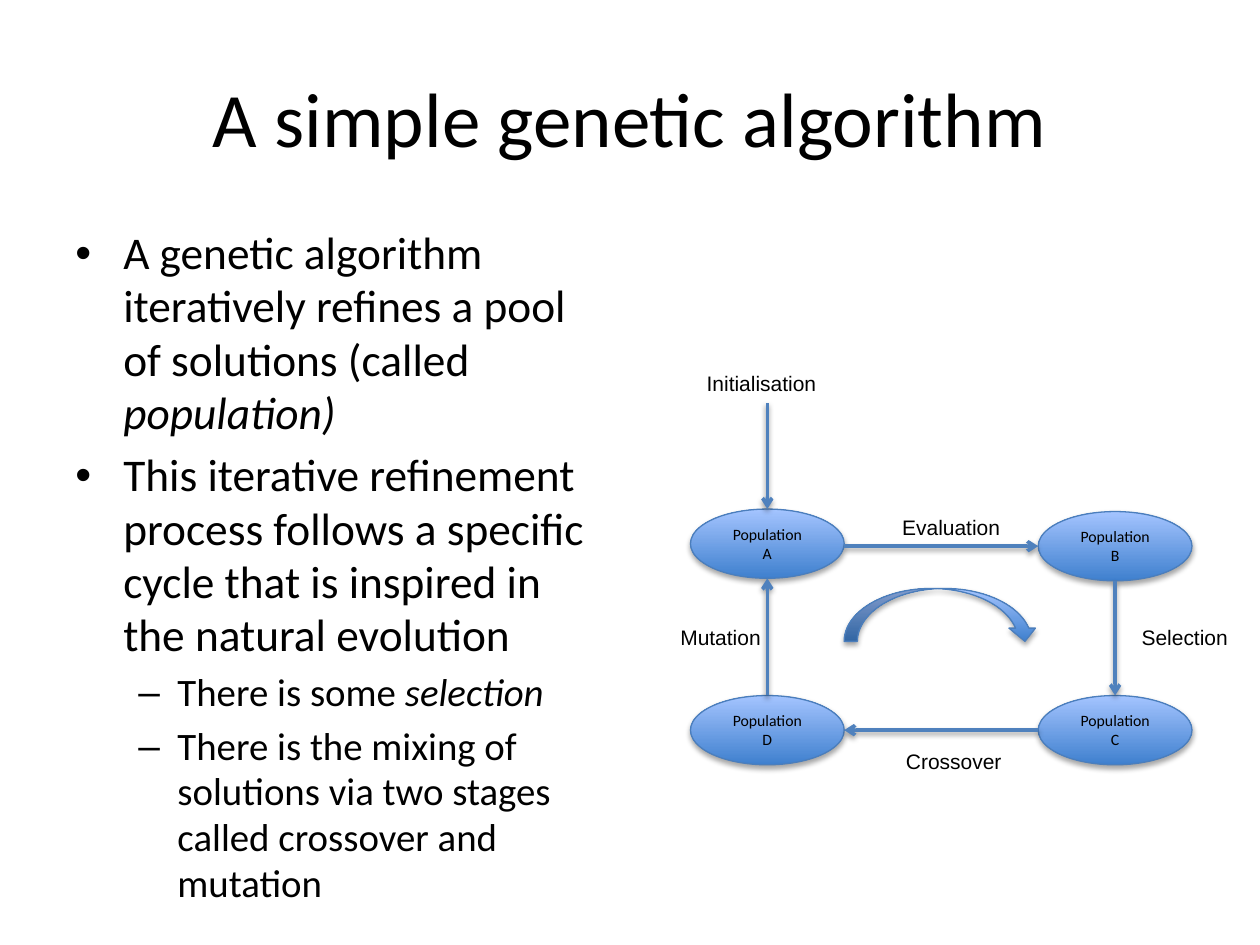
from dataclasses import dataclass
from typing import Any

from lxml.etree import SubElement
from pptx import Presentation
from pptx.dml.color import RGBColor
from pptx.enum.shapes import MSO_CONNECTOR, MSO_SHAPE
from pptx.enum.text import MSO_ANCHOR, MSO_AUTO_SIZE, PP_ALIGN
from pptx.oxml.ns import qn
from pptx.util import Inches, Pt

COLORS = {
    "text": "000000",
    "deep": "3F80CE",
    "pale": "A4C4FF",
    "outline": "4B7EBC",
    "arrow": "4F81BD",
}
COLUMNS, ROWS = 100, 75
SLIDE_WIDTH, SLIDE_HEIGHT = Inches(10), Inches(7.5)
PADDED = {"margin_left": Inches(0.14), "margin_right": Inches(0.14),
          "margin_top": Inches(0.07), "margin_bottom": Inches(0.07)}
HUGGING = {"word_wrap": False, "auto_size": MSO_AUTO_SIZE.SHAPE_TO_FIT_TEXT}


@dataclass(frozen=True)
class Area:
    col: float
    row: float
    cols: float
    rows: float

    @property
    def right(self) -> float:
        return self.col + self.cols

    @property
    def bottom(self) -> float:
        return self.row + self.rows

    @property
    def center(self) -> float:
        return self.col + self.cols / 2

    @property
    def middle(self) -> float:
        return self.row + self.rows / 2

    def lengths(self) -> tuple[int, int, int, int]:
        return across(self.col), down(self.row), across(self.cols), down(self.rows)


@dataclass(frozen=True)
class Label:
    wording: str
    area: Area
    frame: dict[str, Any]


@dataclass(frozen=True)
class Point:
    plain: str
    emphasis: str = ""
    level: int = 0


@dataclass(frozen=True)
class LevelStyle:
    bullet: str
    size: float
    indent: float
    hanging: float


def across(cols: float) -> int:
    return round(SLIDE_WIDTH * cols / COLUMNS)


def down(rows: float) -> int:
    return round(SLIDE_HEIGHT * rows / ROWS)


def apply(target: Any, values: dict[str, Any]) -> None:
    for name, value in values.items():
        setattr(target, name, value)


def color(name: str) -> RGBColor:
    return RGBColor.from_string(COLORS[name])


def write(paragraph: Any, wording: str, size: float, font: str, italic: bool = False) -> None:
    run = paragraph.add_run()
    run.text = wording
    apply(run.font, {"size": Pt(size), "name": font, "italic": italic})
    run.font.color.rgb = color("text")


def add_shadow(part: Any, distance: float, opacity: int) -> None:
    effects = SubElement(part._element.spPr, qn("a:effectLst"))
    outer = SubElement(effects, qn("a:outerShdw"), blurRad=str(Pt(3.1)),
                       dist=str(Pt(distance)), dir="5400000", rotWithShape="0")
    black = SubElement(outer, qn("a:srgbClr"), val=COLORS["text"])
    SubElement(black, qn("a:alpha"), val=str(opacity * 1000))


def add_glossy(shapes: Any, kind: MSO_SHAPE, area: Area) -> Any:
    glossy = shapes.add_shape(kind, *area.lengths())
    glossy.fill.gradient()
    glossy.fill.gradient_angle = 90
    for stop, name in zip(glossy.fill.gradient_stops, ("deep", "pale")):
        stop.color.rgb = color(name)
    glossy.line.color.rgb = color("outline")
    glossy.line.width = Pt(0.75)
    add_shadow(glossy, 1.8, 35)
    return glossy


def add_population(shapes: Any, letter: str, area: Area) -> None:
    frame = add_glossy(shapes, MSO_SHAPE.OVAL, area).text_frame
    apply(frame, PADDED | {"word_wrap": True, "vertical_anchor": MSO_ANCHOR.MIDDLE})
    frame.paragraphs[0].alignment = PP_ALIGN.CENTER
    write(frame.paragraphs[0], f"Population {letter}", 9, "Calibri")


def add_arrow(shapes: Any, start: tuple[float, float], end: tuple[float, float]) -> None:
    arrow = shapes.add_connector(MSO_CONNECTOR.STRAIGHT, across(start[0]), down(start[1]),
                                 across(end[0]), down(end[1]))
    arrow.line.color.rgb = color("arrow")
    arrow.line.width = Pt(2)
    SubElement(arrow._element.spPr.find(qn("a:ln")), qn("a:tailEnd"), type="arrow")
    add_shadow(arrow, 1.6, 38)


def add_frame(shapes: Any, area: Area, values: dict[str, Any]) -> Any:
    frame = shapes.add_textbox(*area.lengths()).text_frame
    apply(frame, values)
    return frame


def add_title(shapes: Any, wording: str) -> None:
    frame = add_frame(shapes, Area(5, 3, 90, 12.5),
                      {"word_wrap": True, "vertical_anchor": MSO_ANCHOR.MIDDLE})
    frame.paragraphs[0].alignment = PP_ALIGN.CENTER
    write(frame.paragraphs[0], wording, 44, "Calibri")


def add_points(shapes: Any, points: list[Point], styles: list[LevelStyle]) -> None:
    frame = add_frame(shapes, Area(5, 17.5, 44.2, 49.5), {"word_wrap": True})
    for index, point in enumerate(points):
        paragraph = frame.add_paragraph() if index else frame.paragraphs[0]
        style = styles[point.level]
        apply(paragraph, {"level": point.level, "line_spacing": 0.98,
                          "space_before": Pt(round(style.size * 0.2, 1))})
        properties = paragraph._p.get_or_add_pPr()
        properties.set("marL", str(across(style.indent)))
        properties.set("indent", str(-across(style.hanging)))
        SubElement(properties, qn("a:buFont"), typeface="Arial")
        SubElement(properties, qn("a:buChar"), char=style.bullet)
        write(paragraph, point.plain, style.size, "Calibri")
        if point.emphasis:
            write(paragraph, point.emphasis, style.size, "Calibri", italic=True)


def add_cycle(shapes: Any) -> None:
    left, right, upper, lower, width, height = 54.8, 82.4, 40.4, 55.2, 12.2, 5.5
    a = Area(left, upper, width, height)
    b = Area(right, upper + 0.2, width, height)
    c = Area(right, lower, width, height)
    d = Area(left, lower, width, height)
    for letter, area in zip("ABCD", (a, b, c, d)):
        add_population(shapes, letter, area)
    for start, end in (
        ((a.right, b.middle), (b.col, b.middle)),
        ((b.center, b.bottom), (c.center, c.row)),
        ((c.col, c.middle), (d.right, d.middle)),
        ((d.center, d.row), (a.center, a.bottom)),
        ((a.center, 32), (a.center, a.row)),
    ):
        add_arrow(shapes, start, end)
    add_glossy(shapes, MSO_SHAPE.CURVED_DOWN_ARROW, Area(a.right, 46.7, b.col - a.right, 4.2))
    for label in (
        Label("Evaluation", Area(70.2, 40.1, 10.7, 3.5), PADDED),
        Label("Selection", Area(89.2, 48.9, 9.8, 3.5), PADDED),
        Label("Crossover", Area(70.5, 58.7, 10.6, 3.5), PADDED),
        Label("Mutation", Area(52.6, 48.9, 9.3, 3.5), PADDED),
        Label("Initialisation", Area(55.1, 28.9, 10.8, 3), {}),
    ):
        frame = add_frame(shapes, label.area, label.frame | HUGGING)
        write(frame.paragraphs[0], label.wording, 12, "Arial")


def main() -> None:
    deck = Presentation()
    apply(deck, {"slide_width": SLIDE_WIDTH, "slide_height": SLIDE_HEIGHT})
    shapes = deck.slides.add_slide(deck.slide_layouts[6]).shapes
    add_title(shapes, "A simple genetic algorithm")
    add_points(shapes, [
        Point("A genetic algorithm iteratively refines a pool of solutions (called ", "population)"),
        Point("This iterative refinement process follows a specific cycle "
              "that is inspired in the natural evolution"),
        Point("There is some ", "selection", 1),
        Point("There is the mixing of solutions via two stages called crossover and mutation", level=1),
    ], [LevelStyle("•", 25.9, 3.8, 3.8), LevelStyle("–", 22.2, 8.1, 3.1)])
    add_cycle(shapes)
    deck.save("out.pptx")


if __name__ == "__main__":
    main()
